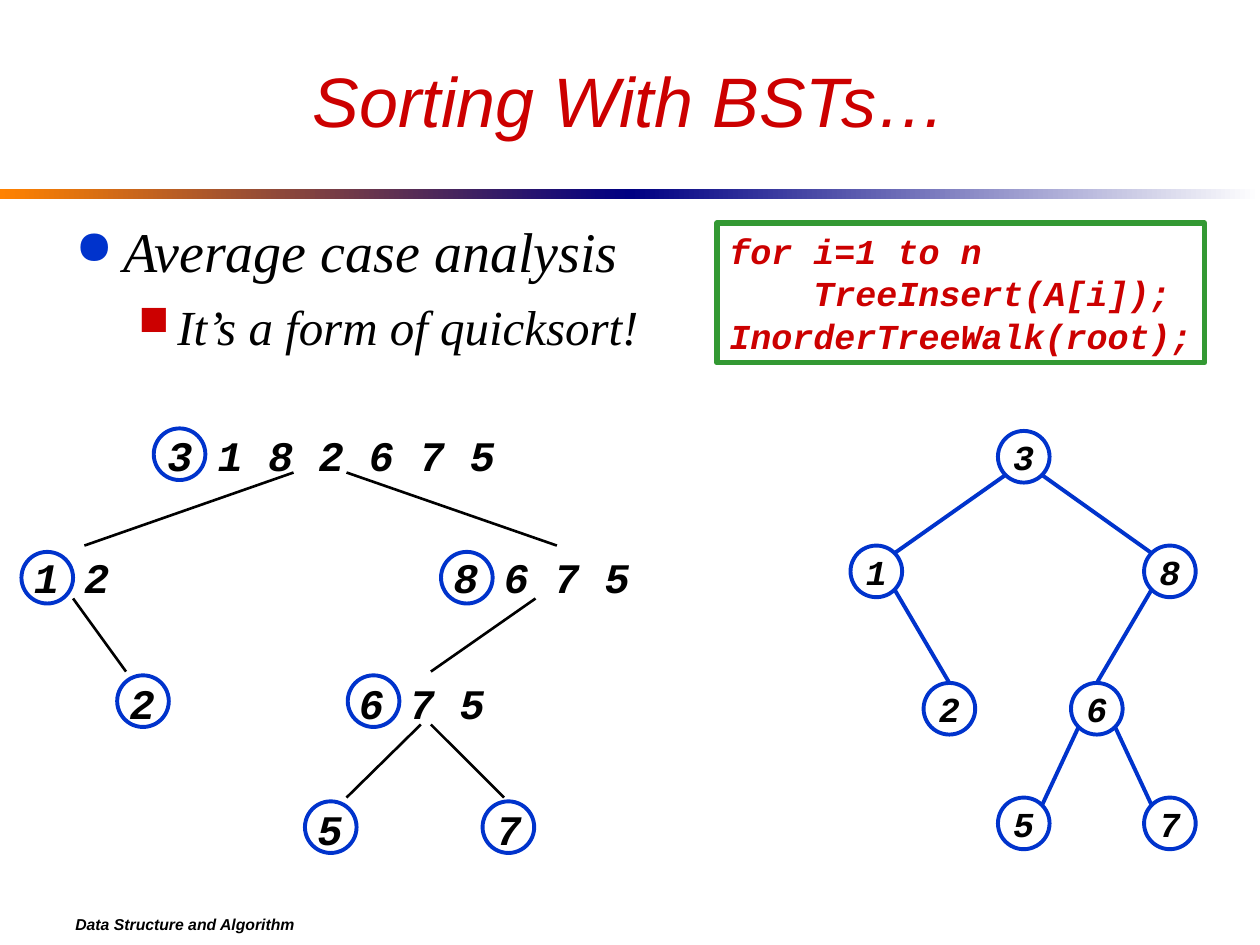
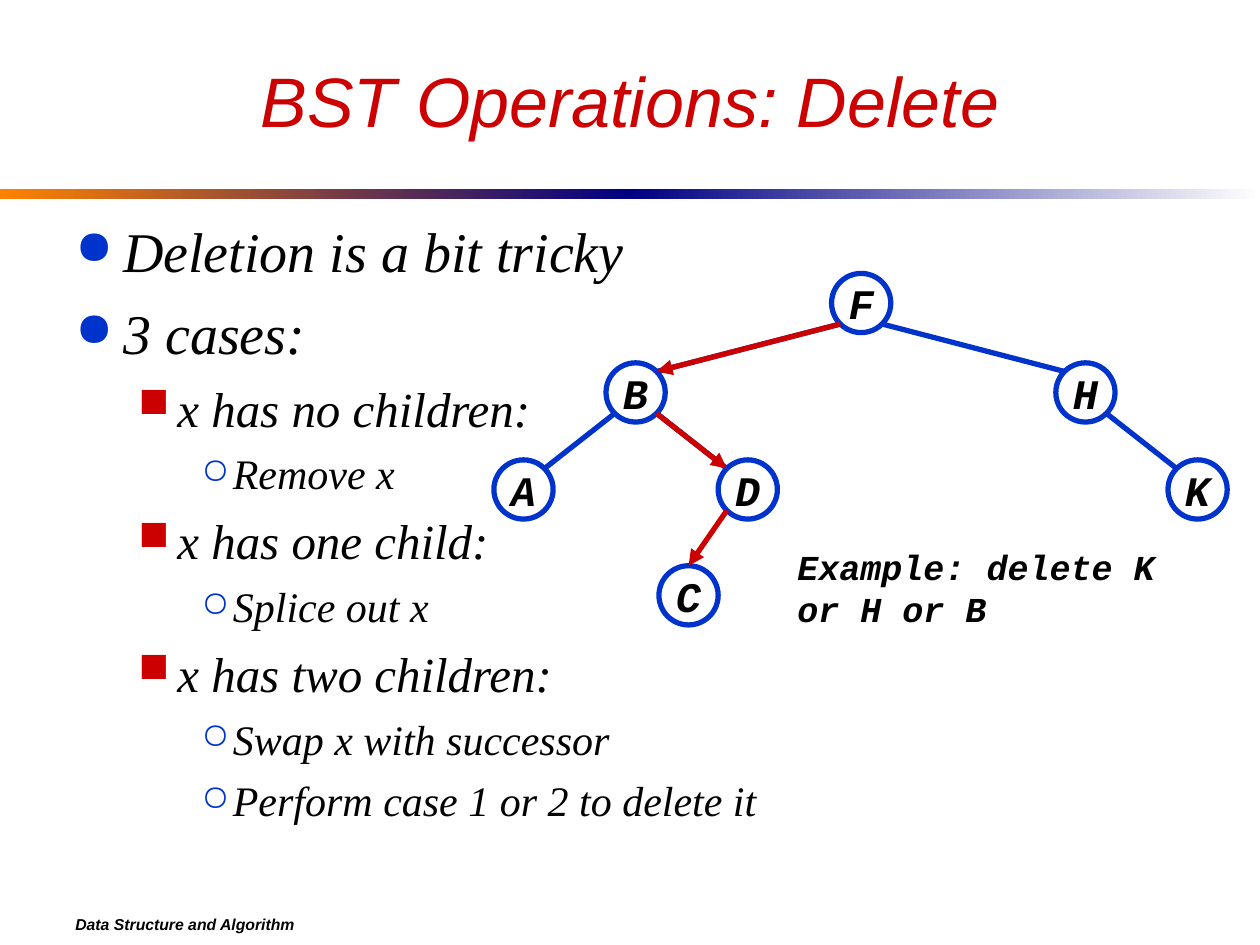
from pptx import Presentation
from pptx.dml.color import RGBColor
from pptx.enum.shapes import MSO_CONNECTOR as Link, MSO_SHAPE as Kind
from pptx.enum.text import MSO_ANCHOR as Anchor, MSO_AUTO_SIZE as Fit, PP_ALIGN as Align
from pptx.oxml.ns import qn
from pptx.oxml.xmlchemy import OxmlElement as Tag
from pptx.util import Inches, Pt

RED = RGBColor(0xCC, 0x00, 0x00)
BLUE = RGBColor(0x00, 0x33, 0xCC)
GREEN = RGBColor(0x33, 0x99, 0x33)
BLACK = RGBColor(0x00, 0x00, 0x00)
WHITE = RGBColor(0xFF, 0xFF, 0xFF)
ORANGE = RGBColor(0xFF, 0x82, 0x00)
NAVY = RGBColor(0x00, 0x00, 0x82)

HEAD, BODY, MONO = "Arial", "Times New Roman", "Courier New"
FOOTER = "Data Structure and Algorithm"

# Per outline level: bullet, bullet colour, text size, space before, margin, hanging indent
LEVELS = [
    ("●", BLUE, 32, 8.1, 0.38, 0.38),
    ("■", RED, 28, 7.1, 0.81, 0.31),
    ("○", BLUE, 24, 6.1, 1.25, 0.25),
]


def tag(parent, name, **attrs):
    child = Tag(name)
    for key, value in attrs.items():
        child.set(key, str(value))
    parent.append(child)
    return child


class Deck:
    """Holds the shared style and the slide being filled."""

    def __init__(self):
        self.prs = Presentation()
        self.prs.slide_width, self.prs.slide_height = Inches(10), Inches(7.5)

    def start(self, title):
        """Open a slide with its band, footer and title."""
        self.slide = self.prs.slides.add_slide(self.prs.slide_layouts[6])
        self.band(0, ORANGE, NAVY)
        self.band(5, NAVY, WHITE)
        self.text(0.5, 7.17, 9, 0.33, [FOOTER], 9, HEAD, wrap=True)
        self.text(0.5, 0.25, 9, 1.08, [title], 40, HEAD, RED, bold=False,
                  align=Align.CENTER, wrap=True)

    def shape(self, kind, x, y, w, h):
        shape = self.slide.shapes.add_shape(kind, Inches(x), Inches(y), Inches(w), Inches(h))
        shape.shadow.inherit = False
        return shape

    def band(self, x, first, last):
        band = self.shape(Kind.RECTANGLE, x, 1.5, 5, 0.08)
        band.line.fill.background()
        band.fill.gradient()
        band.fill.gradient_angle = 0
        for stop, color, place in zip(band.fill.gradient_stops, (first, last), (0, 1)):
            stop.color.rgb = color
            stop.position = place

    def label(self, frame, lines, size, face, color=BLACK, bold=True,
              align=Align.LEFT, wrap=False):
        frame.word_wrap = wrap
        frame.vertical_anchor = Anchor.MIDDLE
        for i, line in enumerate(lines):
            para = frame.paragraphs[0] if i == 0 else frame.add_paragraph()
            para.text = line
            para.alignment = align
            self.style(para, size, face, color, bold)

    def style(self, para, size, face, color, bold, before=0.1):
        para.space_before, para.space_after = Pt(before), Pt(0.1)
        font = para.font
        font.size, font.name, font.bold, font.italic = Pt(size), face, bold, True
        font.color.rgb = color

    def box(self, x, y, w, h):
        return self.slide.shapes.add_textbox(Inches(x), Inches(y), Inches(w), Inches(h))

    def text(self, x, y, w, h, lines, size, face=MONO, color=BLACK, **look):
        box = self.box(x, y, w, h)
        self.label(box.text_frame, lines, size, face, color, **look)
        return box

    def outline(self, items):
        """Add (level, text) pairs as a bulleted list."""
        frame = self.box(0.5, 1.67, 9, 4.75).text_frame
        frame.word_wrap = True
        for i, (level, line) in enumerate(items):
            mark, color, size, before, margin, hang = LEVELS[level]
            para = frame.paragraphs[0] if i == 0 else frame.add_paragraph()
            para.text = line
            para.level = level
            props = para._p.get_or_add_pPr()
            props.set("marL", str(Inches(margin)))
            props.set("indent", str(-Inches(hang)))
            tag(tag(props, "a:buClr"), "a:srgbClr", val=color)
            tag(props, "a:buSzPct", val=85000)
            tag(props, "a:buChar", char=mark)
            self.style(para, size, BODY, BLACK, False, before)

    def listing(self, x, y, w, h, lines):
        """Frame program lines given as (indent in characters, text)."""
        box = self.shape(Kind.RECTANGLE, x, y, w, h)
        box.fill.background()
        box.line.color.rgb, box.line.width = GREEN, Pt(3)
        frame = box.text_frame
        self.label(frame, [line for _, line in lines], 20, MONO, RED)
        for para, (chars, _) in zip(frame.paragraphs, lines):
            para._p.get_or_add_pPr().set("marL", str(Pt(12 * chars)))

    def node(self, x, y, size, width, key="", points=20, fill=None):
        ring = self.shape(Kind.OVAL, x, y, size, size)
        if fill is None:
            ring.fill.background()
        else:
            ring.fill.solid()
            ring.fill.fore_color.rgb = fill
        ring.line.color.rgb, ring.line.width = BLUE, Pt(width)
        if key:
            self.label(ring.text_frame, [key], points, MONO, align=Align.CENTER)

    def line(self, x1, y1, x2, y2, color=BLACK, width=1.5, arrow=False):
        line = self.slide.shapes.add_connector(
            Link.STRAIGHT, Inches(x1), Inches(y1), Inches(x2), Inches(y2))
        line.line.color.rgb, line.line.width = color, Pt(width)
        props = line.element.spPr
        if arrow:
            tag(props.find(qn("a:ln")), "a:tailEnd", type="triangle")
        tag(props, "a:effectLst")

    def edge(self, tree, pair, size, width, color=BLUE, arrow=False, top=False):
        """Join parent to child at the facing diagonals, or at the child's top."""
        (px, py), (cx, cy) = (tree[name] for name in pair)
        half = size / 2
        diag = half * 0.71
        side = 1 if cx > px else -1
        end = (0, -half) if top else (-side * diag, -diag)
        self.line(px + half + side * diag, py + half + diag,
                  cx + half + end[0], cy + half + end[1], color, width, arrow)


def sorting(deck):
    deck.start("Sorting With BSTs…")
    deck.outline([(0, "Average case analysis"), (1, "It’s a form of quicksort!")])
    deck.listing(5.69, 1.77, 3.87, 1.11, [
        (0, "for i=1 to n"), (4, "TreeInsert(A[i]);"), (0, "InorderTreeWalk(root);")])

    size, width = 0.41, 2.25
    # Each part of the list: text position, width, keys, then its pivot ring
    parts = [
        (1.23, 3.36, 2.8, "3 1 8 2 6 7 5", 1.22, 3.4),
        (0.17, 4.33, 0.8, "1 2", 0.17, 4.38),
        (3.5, 4.33, 1.6, "8 6 7 5", 3.5, 4.38),
        (0.93, 5.33, 0.4, "2", 0.93, 5.36),
        (2.75, 5.33, 1.2, "6 7 5", 2.76, 5.36),
        (2.42, 6.33, 0.4, "5", 2.42, 6.36),
        (3.84, 6.33, 0.4, "7", 3.83, 6.36),
    ]
    for x, y, w, keys, rx, ry in parts:
        box = deck.text(x, y, w, 0.5, [keys], 24)
        box.text_frame.auto_size = Fit.SHAPE_TO_FIT_TEXT
        deck.node(rx, ry, size, width)
    for x1, x2, y in [(2.33, 0.67, 3.75), (2.75, 4.42, 3.75), (0.58, 1, 4.75),
                      (4.25, 3.42, 4.75), (3.34, 2.75, 5.75), (3.42, 4, 5.75)]:
        deck.line(x1, y, x2, y + 0.58)

    tree = {"3": (7.92, 3.42), "1": (6.75, 4.33), "8": (9.08, 4.33), "2": (7.33, 5.42),
            "6": (8.5, 5.42), "5": (7.92, 6.33), "7": (9.08, 6.33)}
    for key, (x, y) in tree.items():
        deck.node(x, y, size, width, key)
    for pair in ("31", "38", "12", "86", "65", "67"):
        deck.edge(tree, pair, size, width, top=pair in ("12", "86"))


def delete(deck):
    deck.start("BST Operations: Delete")
    deck.outline([
        (0, "Deletion is a bit tricky"),
        (0, "3 cases:"),
        (1, "x has no children:"),
        (2, "Remove x"),
        (1, "x has one child:"),
        (2, "Splice out x"),
        (1, "x has two children:"),
        (2, "Swap x with successor"),
        (2, "Perform case 1 or 2 to delete it"),
    ])
    size, width = 0.47, 3
    tree = {"F": (6.6, 2.17), "B": (4.81, 2.88), "H": (8.38, 2.88), "K": (9.27, 3.65),
            "D": (5.7, 3.65), "A": (3.92, 3.65), "C": (5.23, 4.49)}
    for key, (x, y) in tree.items():
        deck.node(x, y, size, width, key, 24, WHITE)
    for pair in ("BA", "BD", "FB", "FH", "HK"):
        deck.edge(tree, pair, size, width)
    for pair in ("FB", "BD", "DC"):
        deck.edge(tree, pair, size, width, RED, arrow=True, top=pair == "DC")
    note = deck.text(6.23, 4.28, 3.04, 0.77, ["Example: delete K\vor H or B"], 20)
    note.text_frame.auto_size = Fit.SHAPE_TO_FIT_TEXT


def main():
    deck = Deck()
    sorting(deck)
    delete(deck)
    deck.prs.save("out.pptx")


if __name__ == "__main__":
    main()
